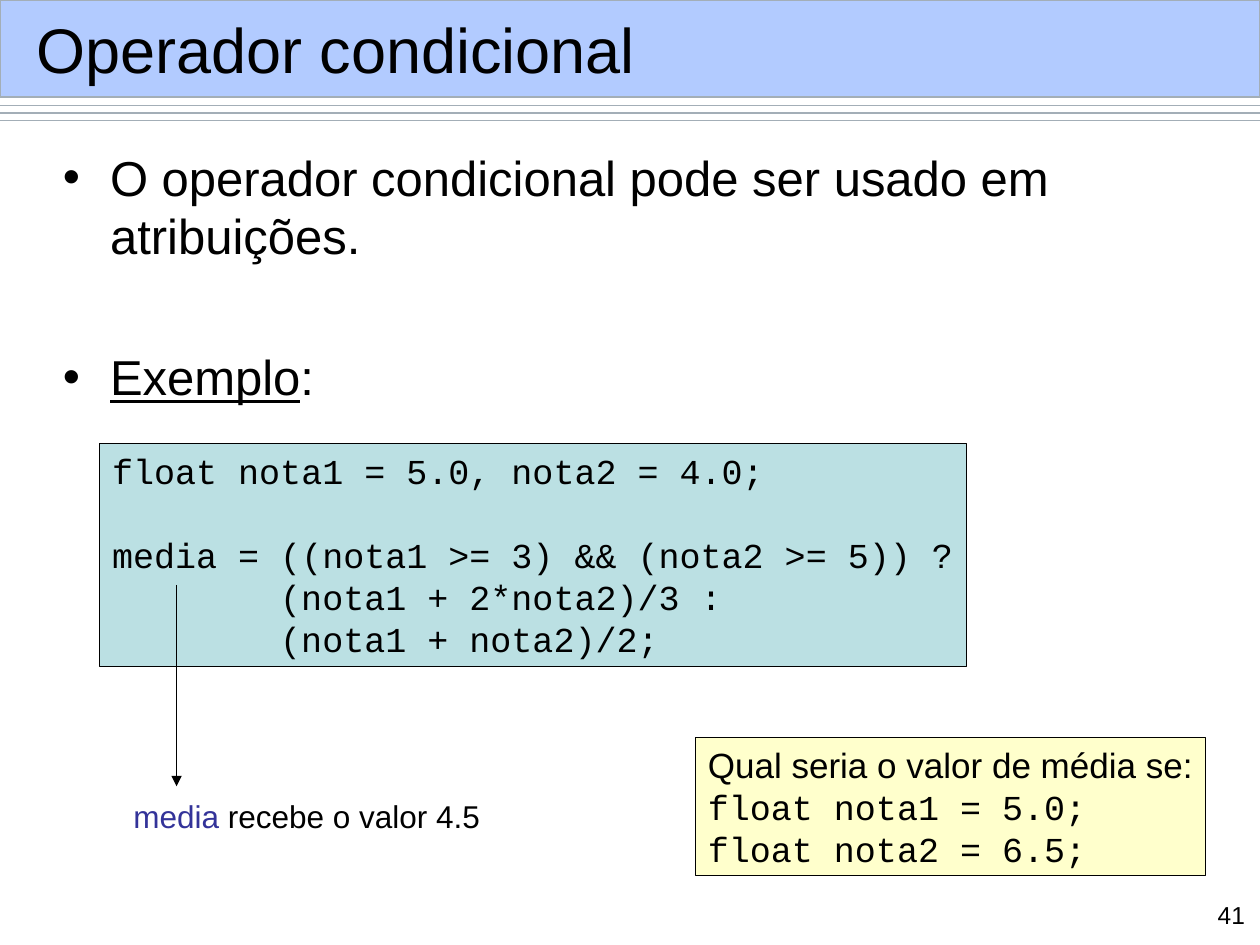
from lxml import etree
from pptx import Presentation
from pptx.dml.color import RGBColor
from pptx.enum.shapes import MSO_CONNECTOR, MSO_SHAPE
from pptx.enum.text import MSO_ANCHOR, MSO_AUTO_SIZE, PP_ALIGN
from pptx.oxml.ns import qn
from pptx.util import Cm, Pt

RECTANGLE = MSO_SHAPE.RECTANGLE
STRAIGHT = MSO_CONNECTOR.STRAIGHT
TOP, MIDDLE = MSO_ANCHOR.TOP, MSO_ANCHOR.MIDDLE
LEFT, RIGHT = PP_ALIGN.LEFT, PP_ALIGN.RIGHT
GROW, FIXED = MSO_AUTO_SIZE.SHAPE_TO_FIT_TEXT, MSO_AUTO_SIZE.NONE

THEME = {
    "sans": "Arial", "mono": "Courier New",
    "ink": "000000", "accent": "333399", "rule": "A3AEB7",
    "band": "6699FF", "code_fill": "BBE0E3", "question_fill": "FFFFCC",
    "title": 36, "body": 28, "code": 20, "label": 18, "number": 14,
    "line": 0.75,
}

# Content: each paragraph has spans of (text, style) and optional layout
TITLE = [{"spans": [("Operador condicional", {})]}]
BODY = [
    {"spans": [("O operador condicional pode ser usado em atribuições.", {})],
     "before": 7, "bullet": True},
    {"spans": [("Exemplo", {"underline": True}), (":", {})],
     "before": 47, "bullet": True},
]
MONO = {"font": "mono"}
CODE = [
    {"spans": [("float nota1 = 5.0, nota2 = 4.0;", MONO)]},
    {"spans": [("media = ((nota1 >= 3) && (nota2 >= 5)) ?", MONO)], "before": 24},
    {"spans": [("(nota1 + 2*nota2)/3 :", MONO)], "indent": 3.39},
    {"spans": [("(nota1 + nota2)/2;", MONO)], "indent": 3.39},
]
RESULT = [{"spans": [("media", {"color": "accent"}), (" recebe o valor 4.5", {})]}]
QUESTION = [
    {"spans": [("Qual seria o valor de média se:", {})]},
    {"spans": [("float nota1 = 5.0;", MONO)]},
    {"spans": [("float nota2 = 6.5;", MONO)]},
]
NUMBER = [{"spans": [("41", {})]}]

# Layout in centimetres: left, top, width, height
PAGE_WIDTH, PAGE_HEIGHT = 25.4, 19.05
BAND_AT = (0, 0, PAGE_WIDTH, 1.96)
TITLE_AT = (0.48, 0.23, 24.49, 1.5)
BODY_AT = (1.02, 2.84, 23.5, 15.37)
CODE_AT = (2.01, 8.94, 17.48, 4.5)
RESULT_AT = (2.44, 15.95, 7.49, 1.02)
QUESTION_AT = (14.02, 14.86, 10.29, 2.79)
NUMBER_AT = (23.04, 18.01, 2.31, 0.66)
RULE_TOP, RULE_STEP, RULE_COUNT = 2.13, 0.15, 3
ARROW_X, ARROW_TOP, ARROW_BOTTOM = 3.56, 11.79, 15.85
BULLET_INDENT = 0.95


def color(name):
    return RGBColor.from_string(THEME[name])


def add_bullet(para):
    props = para._p.get_or_add_pPr()
    props.set("indent", str(-Cm(BULLET_INDENT)))
    tint = etree.SubElement(props, qn("a:buClr"))
    etree.SubElement(tint, qn("a:srgbClr"), val=THEME["ink"])
    etree.SubElement(props, qn("a:buFont"), typeface=THEME["sans"])
    etree.SubElement(props, qn("a:buChar"), char="•")


def write(box, paragraphs, size, anchor=TOP, align=LEFT, wrap=True, fit=FIXED):
    frame = box.text_frame
    frame.word_wrap, frame.auto_size = wrap, fit
    frame.vertical_anchor = anchor
    for index, item in enumerate(paragraphs):
        para = frame.add_paragraph() if index else frame.paragraphs[0]
        para.alignment = align
        para.space_before = Pt(item.get("before", 0))
        bullet = item.get("bullet", False)
        indent = BULLET_INDENT if bullet else item.get("indent", 0)
        para._p.get_or_add_pPr().set("marL", str(Cm(indent)))
        if bullet:
            add_bullet(para)
        for text, style in item["spans"]:
            span = para.add_run()
            span.text = text
            span.font.name = THEME[style.get("font", "sans")]
            span.font.size = Pt(THEME[size])
            span.font.color.rgb = color(style.get("color", "ink"))
            span.font.underline = style.get("underline", False)


def add_text(shapes, at, paragraphs, size, **layout):
    box = shapes.add_textbox(*map(Cm, at))
    write(box, paragraphs, size, **layout)


def add_panel(shapes, at, fill, line):
    panel = shapes.add_shape(RECTANGLE, *map(Cm, at))
    panel.shadow.inherit = False
    panel.fill.solid()
    panel.fill.fore_color.rgb = color(fill)
    panel.line.color.rgb = color(line)
    panel.line.width = Pt(THEME["line"])
    return panel


def add_line(shapes, start, end, ink):
    line = shapes.add_connector(STRAIGHT, *map(Cm, start + end))
    line.line.color.rgb = color(ink)
    line.line.width = Pt(THEME["line"])
    etree.SubElement(line._element.spPr, qn("a:effectLst"))
    return line


def main():
    deck = Presentation()
    deck.slide_width, deck.slide_height = Cm(PAGE_WIDTH), Cm(PAGE_HEIGHT)
    page = deck.slides.add_slide(deck.slide_layouts[6])
    shapes = page.shapes

    # Rules and half-transparent title band
    for index in range(RULE_COUNT):
        y = RULE_TOP + index * RULE_STEP
        add_line(shapes, (0, y), (PAGE_WIDTH, y), "rule")
    band = add_panel(shapes, BAND_AT, "band", "rule")
    tint = band._element.spPr.find(qn("a:solidFill")).find(qn("a:srgbClr"))
    etree.SubElement(tint, qn("a:alpha"), val="50000")

    # Bullets and code example
    add_text(shapes, BODY_AT, BODY, "body")
    code = add_panel(shapes, CODE_AT, "code_fill", "ink")
    write(code, CODE, "code", wrap=False, fit=GROW)

    # Arrow from the variable to its result
    callout = page.shapes.add_group_shape().shapes
    arrow = add_line(callout, (ARROW_X, ARROW_TOP), (ARROW_X, ARROW_BOTTOM), "ink")
    etree.SubElement(arrow.line._get_or_add_ln(), qn("a:tailEnd"), type="triangle")
    add_text(callout, RESULT_AT, RESULT, "label", wrap=False, fit=GROW)

    # Title, question and page number
    add_text(shapes, TITLE_AT, TITLE, "title", anchor=MIDDLE)
    question = add_panel(shapes, QUESTION_AT, "question_fill", "ink")
    write(question, QUESTION, "code", fit=GROW)
    add_text(shapes, NUMBER_AT, NUMBER, "number", align=RIGHT)

    deck.save("out.pptx")


if __name__ == "__main__":
    main()
